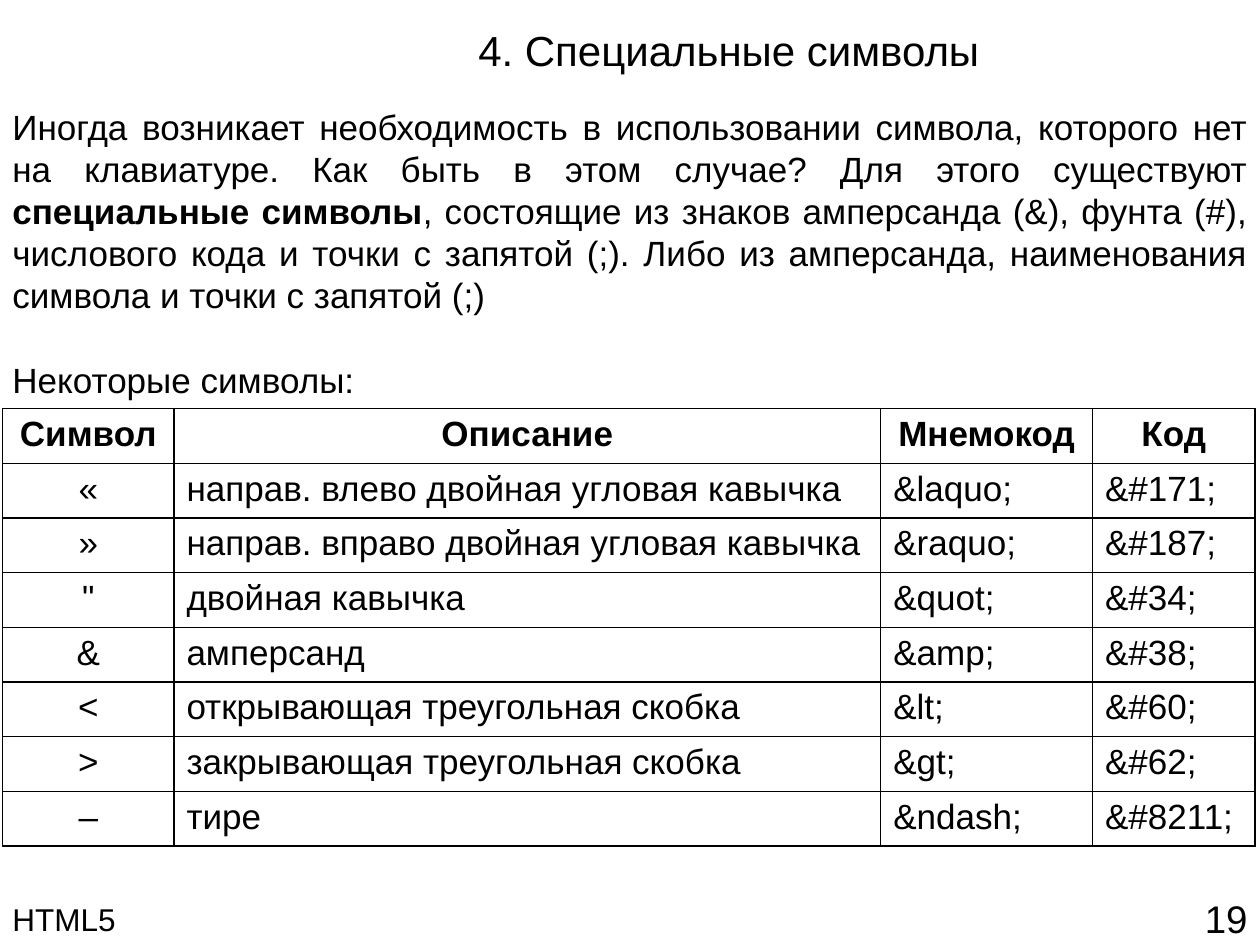
from lxml.etree import SubElement
from pptx import Presentation
from pptx.dml.color import RGBColor
from pptx.enum.text import MSO_ANCHOR as Anchor, PP_ALIGN as Align
from pptx.oxml.ns import qn
from pptx.util import Pt

BLACK, WHITE = "000000", "FFFFFF"
INTRO = [
    ("Иногда возникает необходимость в использовании символа, которого нет "
     "на клавиатуре. Как быть в этом случае? Для этого существуют ", False),
    ("специальные символы", True),
    (", состоящие из знаков амперсанда (&), фунта (#), числового кода и точки "
     "с запятой (;). Либо из амперсанда, наименования символа и точки "
     "с запятой (;)", False),
]
SYMBOLS = [
    ("Символ", "Описание", "Мнемокод", "Код"),
    ("«", "направ. влево двойная угловая кавычка", "&laquo;", "&#171;"),
    ("»", "направ. вправо двойная угловая кавычка", "&raquo;", "&#187;"),
    ('"', "двойная кавычка", "&quot;", "&#34;"),
    ("&", "амперсанд", "&amp;", "&#38;"),
    ("<", "открывающая треугольная скобка", "&lt;", "&#60;"),
    (">", "закрывающая треугольная скобка", "&gt;", "&#62;"),
    ("–", "тире", "&ndash;", "&#8211;"),
]
COLUMN_WIDTHS = (97.9, 403.9, 121, 92.9)
ROW_HEIGHT = 31.25


def color(value):
    return RGBColor.from_string(value)


class SlideBuilder:
    font = "Arial"
    ink = BLACK
    paper = WHITE

    def __init__(self, page):
        self.page = page
        page.background.fill.solid()
        page.background.fill.fore_color.rgb = color(self.paper)

    def add_spans(self, para, spans, size, align):
        """Fill a paragraph with (text, bold) spans."""
        para.alignment = align
        for text, bold in spans:
            span = para.add_run()
            span.text = text
            span.font.name = self.font
            span.font.size = Pt(size)
            span.font.bold = bold
            span.font.color.rgb = color(self.ink)

    def text(self, frame, paragraphs, size, align=Align.LEFT,
             anchor=Anchor.TOP, gap=0):
        box = self.page.shapes.add_textbox(*map(Pt, frame)).text_frame
        box.word_wrap = True
        box.vertical_anchor = anchor
        for index, spans in enumerate(paragraphs):
            para = box.add_paragraph() if index else box.paragraphs[0]
            if index:
                para.space_before = Pt(gap)
            self.add_spans(para, spans, size, align)

    def border(self, cell, width=1):
        properties = cell._tc.get_or_add_tcPr()
        for position, side in enumerate(("lnL", "lnR", "lnT", "lnB")):
            line = SubElement(properties, qn(f"a:{side}"), w=str(Pt(width)))
            fill = SubElement(line, qn("a:solidFill"))
            SubElement(fill, qn("a:srgbClr"), val=self.ink)
            properties.remove(line)
            properties.insert(position, line)

    def table(self, left, top, widths, row_height, rows, size):
        """Draw a grid with a bold centred header and a centred first column."""
        frame = self.page.shapes.add_table(
            len(rows), len(widths), Pt(left), Pt(top),
            Pt(sum(widths)), Pt(row_height * len(rows)))
        grid = frame.table
        for column, width in zip(grid.columns, widths):
            column.width = Pt(width)
        for r, row in enumerate(rows):
            grid.rows[r].height = Pt(row_height)
            for c, value in enumerate(row):
                cell = grid.cell(r, c)
                cell.fill.solid()
                cell.fill.fore_color.rgb = color(self.paper)
                self.border(cell)
                align = Align.CENTER if r == 0 or c == 0 else Align.LEFT
                self.add_spans(cell.text_frame.paragraphs[0],
                               [(value, r == 0)], size, align)


def main():
    deck = Presentation()
    deck.slide_width, deck.slide_height = Pt(720), Pt(540)
    builder = SlideBuilder(deck.slides.add_slide(deck.slide_layouts[6]))

    builder.text((113, 0, 607, 57), [[("4. Специальные символы", False)]], 24,
                 Align.CENTER, Anchor.MIDDLE)
    builder.text((0, 57, 720, 177), [INTRO, [("Некоторые символы:", False)]],
                 20, Align.JUSTIFY, gap=24)
    builder.table(1.5, 233.5, COLUMN_WIDTHS, ROW_HEIGHT, SYMBOLS, 20)
    builder.text((0, 510.5, 663, 28), [[("HTML5", False)]], 18)
    builder.text((663, 510.5, 57, 28), [[("19", False)]], 22,
                 Align.RIGHT, Anchor.MIDDLE)

    deck.save("out.pptx")


if __name__ == "__main__":
    main()
